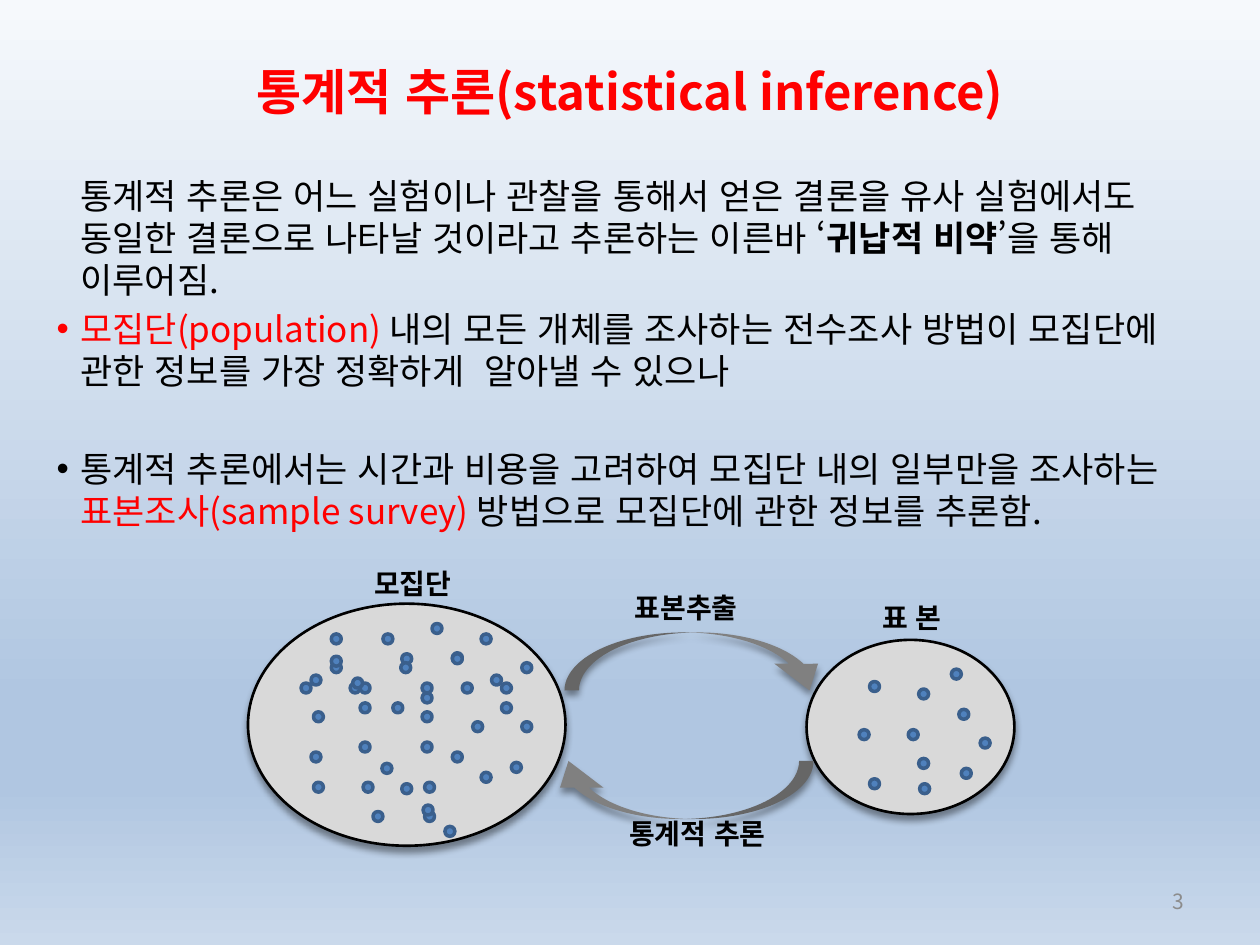
from lxml.etree import SubElement
from pptx import Presentation
from pptx.dml.color import RGBColor as RGB
from pptx.enum.lang import MSO_LANGUAGE_ID as LANG
from pptx.enum.shapes import MSO_SHAPE as SHAPE
from pptx.enum.text import MSO_ANCHOR as ANCHOR, PP_ALIGN as ALIGN
from pptx.oxml.ns import qn
from pptx.util import Cm, Pt

FONT = "Noto Sans CJK KR"
COLORS = {
    "black": "000000", "red": "FF0000", "page": "8C8C8C",
    "set": "D9D9D9", "dot": "4F81BD", "dot_line": "3A5F8C", "arrow": "808080",
}
BACKGROUND = [(0, "F6F9FC"), (74, "B0C6E1"), (83, "B0C6E1"), (100, "CAD9EB")]


def style_run(r, size, color="black", bold=False):
    r.font.size, r.font.bold, r.font.name = Pt(size), bold, FONT
    r.font.language_id = LANG.KOREAN
    r.font.color.rgb = RGB.from_string(COLORS[color])
    SubElement(r.font._element, qn("a:ea"), typeface=FONT)


def add_shape(kind, box, fill, line=None, width=0, shadow=False):
    sp = s.shapes.add_shape(kind, *map(Cm, box))
    sp.fill.solid()
    sp.fill.fore_color.rgb = RGB.from_string(COLORS[fill])
    if line:
        sp.line.color.rgb = RGB.from_string(COLORS[line])
        sp.line.width = Pt(width)
    else:
        sp.line.fill.background()
    sp.shadow.inherit = False
    if shadow:
        effects = sp._element.spPr.find(qn("a:effectLst"))
        outer = SubElement(effects, qn("a:outerShdw"), blurRad=str(Pt(4)),
                           dist=str(Pt(3)), dir="5400000", rotWithShape="0")
        color = SubElement(outer, qn("a:srgbClr"), val=COLORS["black"])
        SubElement(color, qn("a:alpha"), val="40000")
    return sp


prs = Presentation()
prs.slide_width, prs.slide_height = Cm(25.4), Cm(19.05)
s = prs.slides.add_slide(prs.slide_layouts[6])

# Background gradient, top to bottom
fill = s.background.fill
fill.gradient()
fill.gradient_angle = 270
stops = s.element.find(".//" + qn("a:gsLst"))
stops.clear()
for pos, color in BACKGROUND:
    gs = SubElement(stops, qn("a:gs"), pos=str(pos * 1000))
    SubElement(gs, qn("a:srgbClr"), val=color)

# Population and sample
add_shape(SHAPE.OVAL, (5, 12.17, 6.4, 4.88), "set", "black", 1.5, True)
add_shape(SHAPE.OVAL, (16.26, 12.9, 4.19, 3.51), "set", "black", 1.5, True)

population_dots = [
    (7.72, 12.78), (8.1, 13.18), (7.26, 13.77), (8.08, 13.36), (8.51, 13.97),
    (9.12, 13.16), (8.51, 14.96), (9.53, 14.55), (6.27, 15.16), (6.07, 13.77),
    (7.26, 14.17), (9.91, 13.61), (8.56, 16.36), (10.11, 13.77), (7.32, 15.77),
    (9.7, 15.57), (10.52, 14.55), (6.27, 13.61), (7.26, 14.96), (8.56, 15.77),
    (7.06, 13.77), (9.7, 12.78), (8.71, 12.57), (7.7, 15.39), (8.1, 15.8),
    (8.53, 16.23), (8.97, 16.66), (6.68, 12.78), (6.68, 13.36), (6.32, 14.35),
    (6.68, 13.23), (9.32, 13.77), (7.11, 13.67), (7.92, 14.17), (9.12, 13.18),
    (8.51, 13.77), (8.51, 14.35), (6.32, 15.77), (10.31, 15.37), (10.52, 13.36),
    (9.12, 15.16), (7.52, 16.36), (10.11, 14.17),
]
sample_dots = [
    (19.18, 13.49), (18.52, 13.89), (19.33, 14.3), (19.76, 14.88),
    (19.38, 15.49), (17.53, 15.7), (17.32, 14.71), (18.52, 15.29),
    (17.53, 13.74), (18.54, 15.8), (18.31, 14.71),
]
for x, y in population_dots + sample_dots:
    add_shape(SHAPE.OVAL, (x, y, 0.2, 0.2), "dot", "dot_line", 2)

# Curved arrows: sampling above, inference below
for x, y, rotation in [(11.38, 12.75, 0), (11.02, 15.34, 180)]:
    sp = add_shape(SHAPE.CURVED_DOWN_ARROW, (x, y, 5.38, 1.17), "arrow", shadow=True)
    sp.rotation = rotation
    for i, value in enumerate([0.25, 0.75, 0.46]):
        sp.adjustments[i] = value

# Title, diagram labels and page number
mid, top = ANCHOR.MIDDLE, ANCHOR.TOP
for text, box, size, color, bold, align, anchor in [
    ("통계적 추론(statistical inference)", (1.27, 0.76, 22.86, 2.16), 28, "red", True, ALIGN.CENTER, mid),
    ("모집단", (6.4, 11.3, 3.84, 0.94), 16, "black", True, ALIGN.CENTER, top),
    ("표 본", (16.71, 11.99, 3.35, 0.94), 16, "black", True, ALIGN.CENTER, top),
    ("표본추출", (12.07, 11.79, 3.53, 0.94), 16, "black", True, ALIGN.CENTER, top),
    ("통계적 추론", (11.76, 16.33, 4.6, 0.94), 16, "black", True, ALIGN.CENTER, top),
    ("3", (18.21, 17.65, 5.92, 1.02), 12, "page", False, ALIGN.RIGHT, mid),
]:
    tf = s.shapes.add_textbox(*map(Cm, box)).text_frame
    tf.word_wrap, tf.vertical_anchor = True, anchor
    p = tf.paragraphs[0]
    p.text, p.alignment = text, align
    style_run(p.runs[0], size, color, bold)

# Body text: bullet colour (or None), space before, runs
body = [
    (None, 4, [
        ("통계적 추론은 어느 실험이나 관찰을 통해서 얻은 결론을 유사 실험에서도 동일한 결론으로 "
         "나타날 것이라고 추론하는 이른바 ‘", "black", False),
        ("귀납적 비약", "black", True),
        ("’을 통해 이루어짐.", "black", False)]),
    ("red", 4, [
        ("모집단(population)", "red", False),
        (" 내의 모든 개체를 조사하는 전수조사 방법이 모집단에 관한 정보를 가장 정확하게  "
         "알아낼 수 있으나", "black", False)]),
    ("black", 32, [
        ("통계적 추론에서는 시간과 비용을 고려하여 모집단 내의 일부만을 조사하는 ", "black", False),
        ("표본조사(sample survey) ", "red", False),
        ("방법으로 모집단에 관한 정보를 추론함.", "black", False)]),
]
tf = s.shapes.add_textbox(Cm(0.89), Cm(3.4), Cm(23.8), Cm(14.53)).text_frame
tf.word_wrap = True
for i, (bullet, gap, runs) in enumerate(body):
    p = tf.add_paragraph() if i else tf.paragraphs[0]
    p.space_before = Pt(gap)
    pPr = p._p.get_or_add_pPr()
    pPr.set("marL", str(Cm(0.48)))
    if bullet:
        pPr.set("indent", str(Cm(-0.48)))
        color = SubElement(pPr, qn("a:buClr"))
        SubElement(color, qn("a:srgbClr"), val=COLORS[bullet])
        SubElement(pPr, qn("a:buFont"), typeface="Arial")
        SubElement(pPr, qn("a:buChar"), char="•")
    for text, color, bold in runs:
        r = p.add_run()
        r.text = text
        style_run(r, 20, color, bold)

prs.save("out.pptx")
